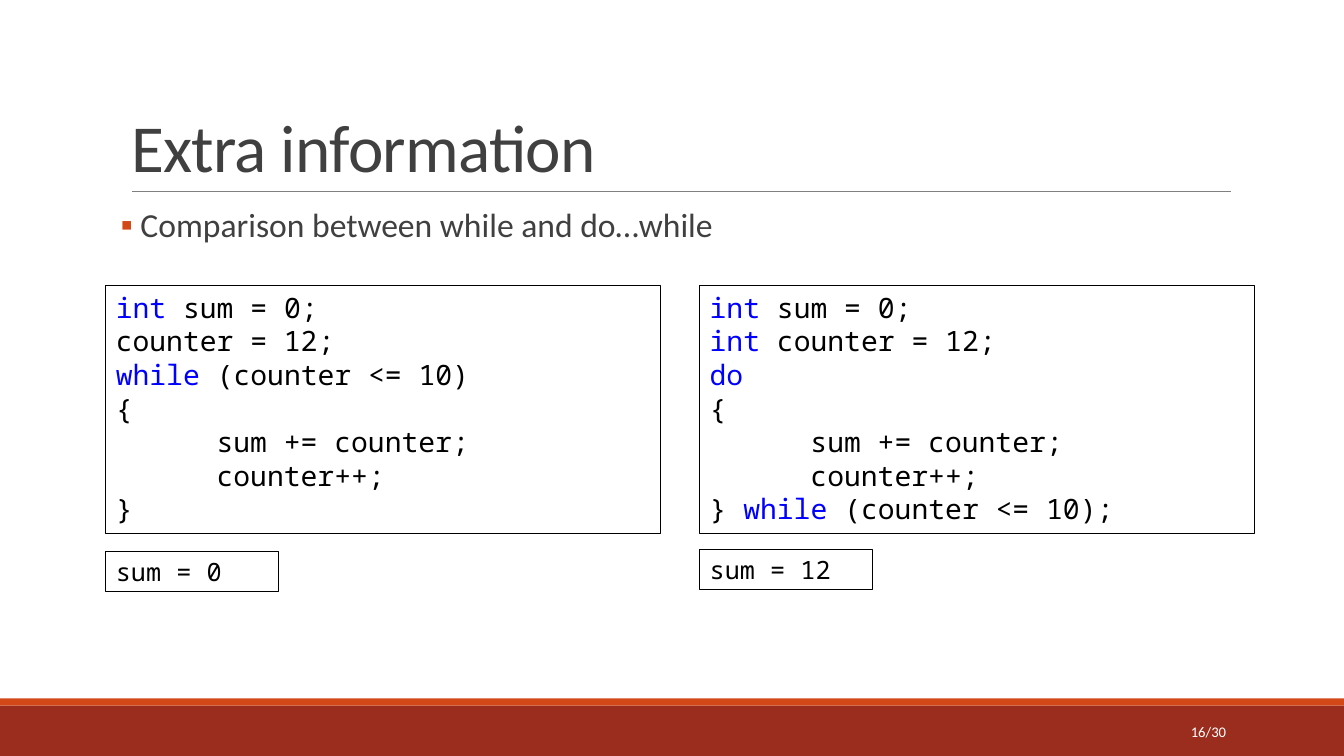
from pptx import Presentation
from pptx.dml.color import RGBColor
from pptx.enum.shapes import MSO_CONNECTOR, MSO_SHAPE
from pptx.enum.text import MSO_ANCHOR as ANCHOR, MSO_AUTO_SIZE as AUTO, PP_ALIGN as ALIGN
from pptx.oxml.ns import qn
from pptx.util import Inches, Pt
from lxml.etree import SubElement

TITLE = "Extra information"
TOPIC = " Comparison between while and do…while"
PAGE = "16/30"
LOOPS = [
    {
        "code": ["int sum = 0;", "counter = 12;", "while (counter <= 10)", "{",
                 "\t\tsum += counter;", "\t\tcounter++;", "}"],
        "result": "sum = 0",
        "result_top": 5.47,
    },
    {
        "code": ["int sum = 0;", "int counter = 12;", "do", "{",
                 "\t\tsum += counter;", "\t\tcounter++;", "} while (counter <= 10);"],
        "result": "sum = 12",
        "result_top": 5.45,
    },
]
KEYWORDS = ("int", "while", "do")
COLORS = {"text": "404040", "code": "000000", "keyword": "0000FF", "rule": "808080",
          "accent": "D34817", "footer": "9B2D1F", "white": "FFFFFF"}
SANS, MONO = "Calibri", "Noto Sans Mono"
WIDTH, HEIGHT = 13.33, 7.5
LEFT, CONTENT_WIDTH = 1.2, 11
COLUMN_LEFT, COLUMN_STEP, COLUMN_WIDTH = 1.05, 5.89, 5.5
CODE_TOP, CODE_HEIGHT = 2.83, 2.46
RESULT_WIDTH, RESULT_HEIGHT = 1.71, 0.4
TAB_STEP = 0.5


def rgb(name):
    return RGBColor.from_string(COLORS[name])


def box(*place):
    return [Inches(length) for length in place]


def code_parts(line):
    keyword = next((word for word in KEYWORDS if word in line.split()), None)
    if keyword is None:
        return [(line, "code")]
    before, _, after = line.partition(keyword)
    parts = [(before, "code"), (keyword, "keyword"), (after, "code")]
    return [part for part in parts if part[0]]


def write(shape, lines, size, font=SANS, color="text", align=ALIGN.LEFT,
          anchor=ANCHOR.TOP, spacing=None, inset=0.1, tracking=None):
    frame = shape.text_frame
    frame.word_wrap = True
    frame.auto_size = AUTO.NONE
    frame.vertical_anchor = anchor
    frame.margin_left = frame.margin_right = Inches(inset)
    frame.margin_top = frame.margin_bottom = Inches(0.05)
    for index, line in enumerate(lines):
        paragraph = frame.add_paragraph() if index else frame.paragraphs[0]
        paragraph.alignment = align
        if spacing:
            paragraph.line_spacing = spacing
        parts = code_parts(line) if font == MONO else [(line, color)]
        for text, part_color in parts:
            run = paragraph.add_run()
            run.text = text
            run.font.size = Pt(size)
            run.font.name = font
            run.font.color.rgb = rgb(part_color)
            if tracking:
                run.font._element.set("spc", str(tracking))
        if line.startswith("\t"):
            tabs = SubElement(paragraph._p.get_or_add_pPr(), qn("a:tabLst"))
            for stop in range(1, 3):
                SubElement(tabs, qn("a:tab"), pos=str(Inches(TAB_STEP * stop)), algn="l")
    return frame


def add_rectangle(slide, place, fill=None, line=None):
    rectangle = slide.shapes.add_shape(MSO_SHAPE.RECTANGLE, *box(*place))
    rectangle.shadow.inherit = False
    if fill:
        rectangle.fill.solid()
        rectangle.fill.fore_color.rgb = rgb(fill)
    else:
        rectangle.fill.background()
    if line:
        rectangle.line.color.rgb = rgb(line)
        rectangle.line.width = Pt(0.75)
    else:
        rectangle.line.fill.background()
    return rectangle


def add_bullet(paragraph):
    paragraph.space_before, paragraph.space_after = Pt(12), Pt(2)
    properties = paragraph._p.get_or_add_pPr()
    properties.set("marL", str(Inches(0.1)))
    properties.set("indent", str(-Inches(0.1)))
    bullet_color = SubElement(properties, qn("a:buClr"))
    SubElement(bullet_color, qn("a:srgbClr"), val=COLORS["accent"])
    SubElement(properties, qn("a:buFont"), typeface=SANS)
    SubElement(properties, qn("a:buChar"), char="▪")


def main():
    deck = Presentation()
    deck.slide_width, deck.slide_height = box(WIDTH, HEIGHT)
    slide = deck.slides.add_slide(deck.slide_layouts[5])

    add_rectangle(slide, (0, 7, WIDTH, 0.5), fill="footer")
    add_rectangle(slide, (0, 6.93, WIDTH, 0.07), fill="accent")
    rule = slide.shapes.add_connector(MSO_CONNECTOR.STRAIGHT, *box(1.31, 1.9, 12.21, 1.9))
    rule.line.color.rgb = rgb("rule")
    rule.line.width = Pt(0.5)
    SubElement(rule._element.spPr, qn("a:effectLst"))

    heading = slide.shapes.title
    heading.left, heading.top, heading.width, heading.height = box(LEFT, 0.31, CONTENT_WIDTH, 1.59)
    write(heading, [TITLE], 48, anchor=ANCHOR.BOTTOM, spacing=0.85, tracking=-50)

    topic = slide.shapes.add_textbox(*box(LEFT, 2.02, CONTENT_WIDTH, 0.6))
    add_bullet(write(topic, [TOPIC], 24, spacing=0.9, inset=0).paragraphs[0])

    page = slide.shapes.add_textbox(*box(10.83, 7.06, 1.43, 0.4))
    write(page, [PAGE], 10.5, color="white", align=ALIGN.RIGHT, anchor=ANCHOR.MIDDLE)

    for column, loop in enumerate(LOOPS):
        left = COLUMN_LEFT + column * COLUMN_STEP
        code = add_rectangle(slide, (left, CODE_TOP, COLUMN_WIDTH, CODE_HEIGHT), line="code")
        write(code, loop["code"], 20, font=MONO)
        result = add_rectangle(
            slide, (left, loop["result_top"], RESULT_WIDTH, RESULT_HEIGHT), line="code")
        write(result, [loop["result"]], 18, font=MONO)

    deck.save("out.pptx")


if __name__ == "__main__":
    main()
